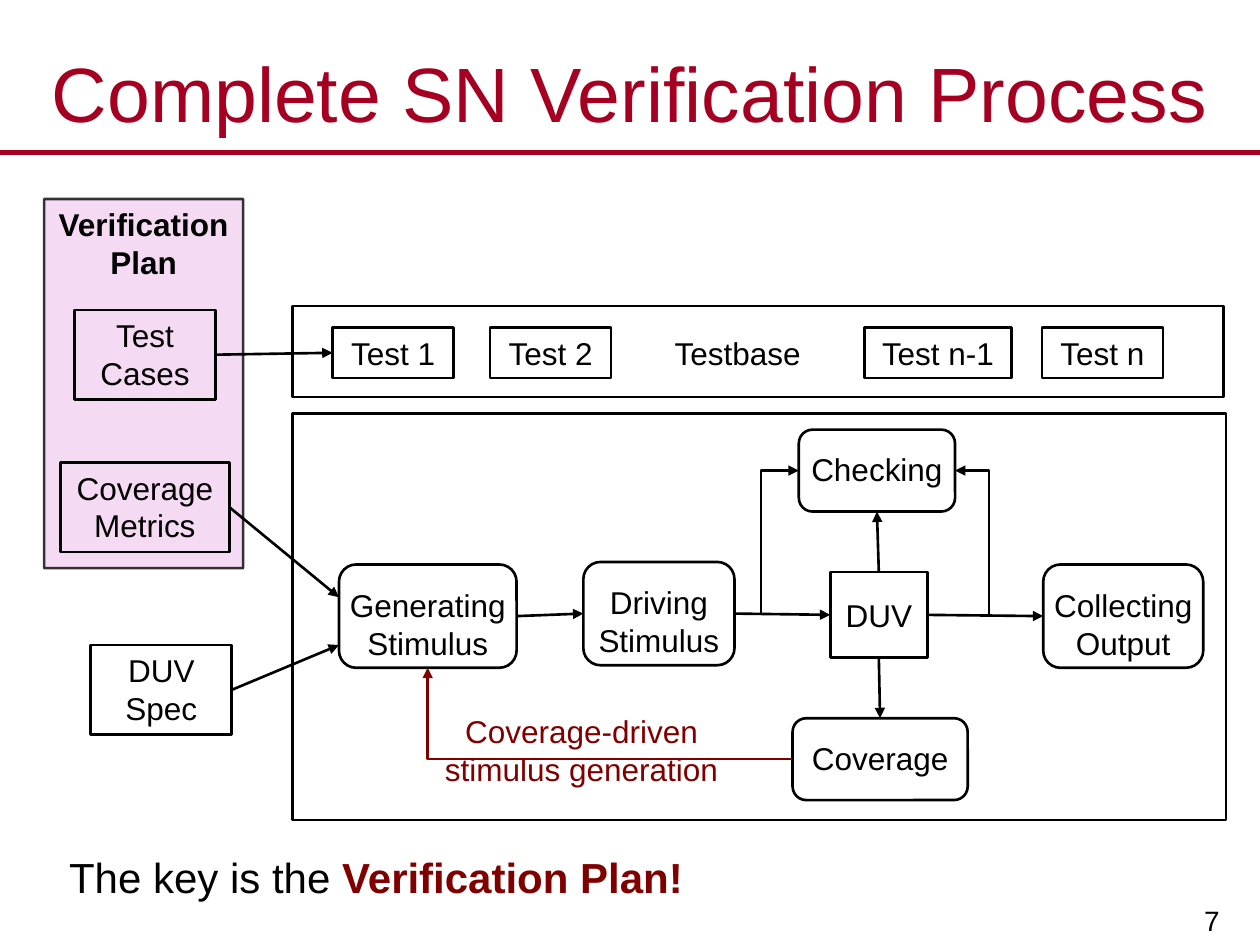
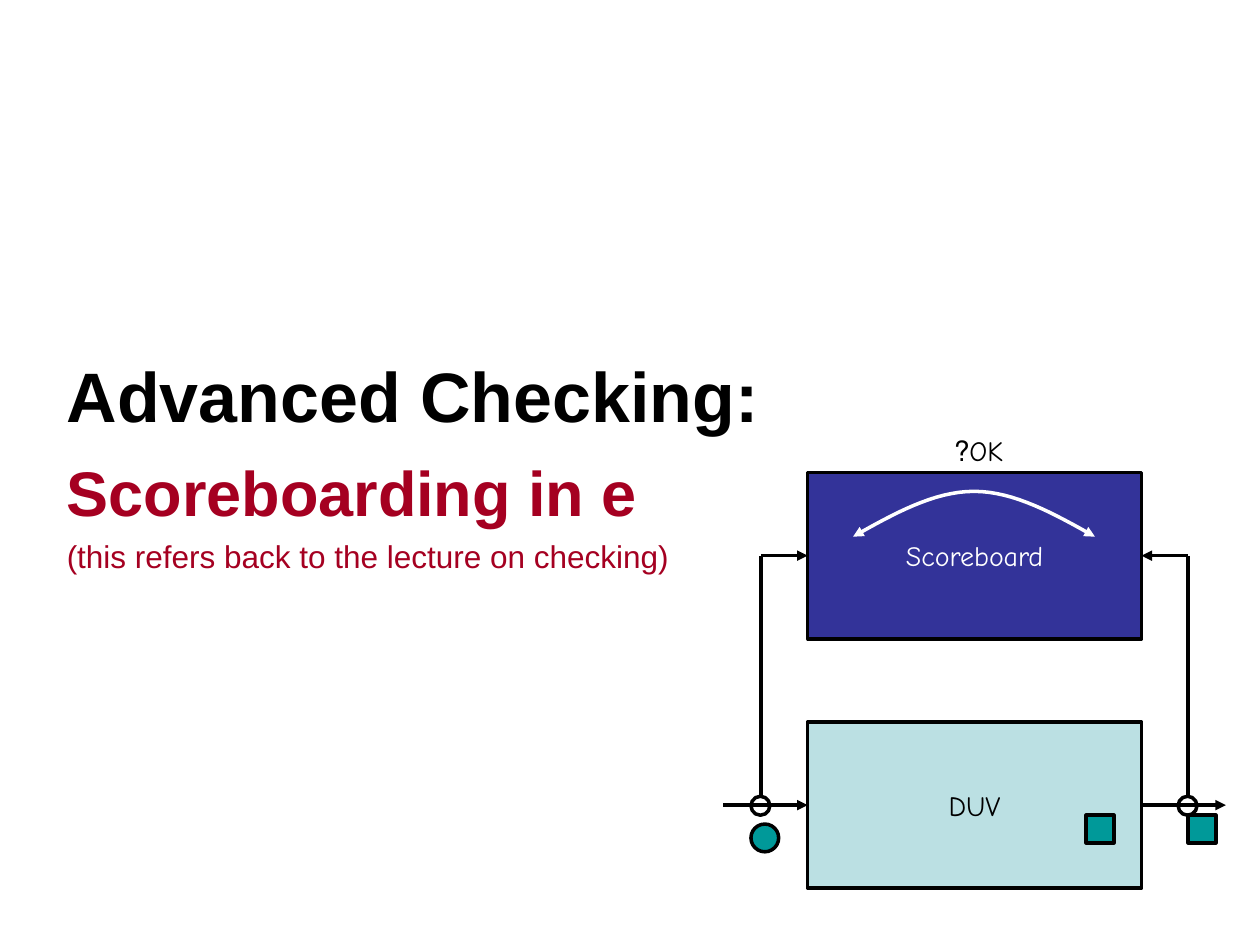
from pptx import Presentation
from pptx.dml.color import RGBColor
from pptx.enum.shapes import MSO_CONNECTOR, MSO_SHAPE
from pptx.enum.text import MSO_ANCHOR, MSO_AUTO_SIZE, PP_ALIGN
from pptx.oxml.ns import qn
from pptx.util import Inches, Pt
from lxml import etree

RECT, ROUND, OVAL = MSO_SHAPE.RECTANGLE, MSO_SHAPE.ROUNDED_RECTANGLE, MSO_SHAPE.OVAL
STRAIGHT, ELBOW = MSO_CONNECTOR.STRAIGHT, MSO_CONNECTOR.ELBOW
LEFT, CENTER, RIGHT = PP_ALIGN.LEFT, PP_ALIGN.CENTER, PP_ALIGN.RIGHT
TOP, MIDDLE, BOTTOM = MSO_ANCHOR.TOP, MSO_ANCHOR.MIDDLE, MSO_ANCHOR.BOTTOM
SITE_TOP, SITE_LEFT, SITE_BOTTOM, SITE_RIGHT = range(4)

BLACK, WHITE = "000000", "FFFFFF"
CRIMSON, MAROON = "A50021", "800000"
PINK, NAVY, AQUA, TEAL = "F1C7EE", "333399", "BBE0E3", "009999"
SANS, HAND = "Arial", "Comic Neue"


def rgb(value):
    """Turn a hex string into a colour."""
    return RGBColor.from_string(value)


def set_alpha(sp, parent, percent):
    """Make the solid colour under the given path partly transparent."""
    color = sp.element.spPr.find(f"{parent}{qn('a:solidFill')}/{qn('a:srgbClr')}")
    etree.SubElement(color, qn("a:alpha")).set("val", str(percent * 1000))


class Deck:
    """Hold the style and the current slide, and draw each kind of element."""

    def __init__(self, prs):
        """Start with the usual font and line width."""
        self.prs = prs
        self.s = None
        self.font, self.size, self.weight = SANS, 18, 1.5

    def new_slide(self, layout):
        """Add a slide and make it current."""
        self.s = self.prs.slides.add_slide(self.prs.slide_layouts[layout])

    def place(self, sp, at):
        """Move a shape to left, top, width and height in inches."""
        sp.left, sp.top, sp.width, sp.height = map(Inches, at)

    def run(self, p, text, color=BLACK, size=None, bold=False):
        """Add one formatted run to a paragraph."""
        r = p.add_run()
        r.text = text
        r.font.name, r.font.size, r.font.bold = self.font, Pt(size or self.size), bold
        r.font.color.rgb = rgb(color)

    def frame(self, sp, anchor=TOP, wrap=True, insets=(0.1, 0.05)):
        """Prepare a text frame and return it."""
        tf = sp.text_frame
        tf.auto_size = MSO_AUTO_SIZE.NONE
        tf.word_wrap, tf.vertical_anchor = wrap, anchor
        tf.margin_left = tf.margin_right = Inches(insets[0])
        tf.margin_top = tf.margin_bottom = Inches(insets[1])
        return tf

    def title(self, text):
        """Fill the title and draw the rule below it."""
        sp = self.s.shapes.title
        self.place(sp, (0, 0.3, 10, 0.86))
        p = self.frame(sp, MIDDLE).paragraphs[0]
        p.alignment = CENTER
        self.run(p, text, CRIMSON, 44)
        self.line((0, 1.21), (10, 1.21), CRIMSON, width=3, tail=False)

    def body(self, at, items):
        """Fill the body with unbulleted lines of text, colour, size, weight and space."""
        sp = self.s.placeholders[1]
        self.place(sp, at)
        tf = self.frame(sp)
        for i, (text, color, size, bold, space) in enumerate(items):
            p = tf.paragraphs[0] if i == 0 else tf.add_paragraph()
            pPr = p._p.get_or_add_pPr()
            pPr.set("marL", "0")
            pPr.set("indent", "0")
            etree.SubElement(pPr, qn("a:buNone"))
            p.space_before = Pt(space)
            self.run(p, text, color, size, bold)

    def text(self, at, runs, align=LEFT, anchor=TOP, wrap=True, insets=(0.1, 0.05)):
        """Add a text box of (text, colour, size, bold) runs and return its paragraph."""
        sp = self.s.shapes.add_textbox(*map(Inches, at))
        p = self.frame(sp, anchor, wrap, insets).paragraphs[0]
        p.alignment = align
        for run in runs:
            self.run(p, *run)
        return p

    def outline(self, sp, fill=None, color=BLACK):
        """Set the fill and line of a shape."""
        sp.shadow.inherit = False
        if fill:
            sp.fill.solid()
            sp.fill.fore_color.rgb = rgb(fill)
        else:
            sp.fill.background()
        sp.line.color.rgb = rgb(color)
        sp.line.width = Pt(self.weight)

    def box(self, at, text="", kind=RECT, fill=None, color=BLACK, bold=False,
            anchor=TOP, insets=(0.1, 0.05)):
        """Add an outlined shape with centred text."""
        sp = self.s.shapes.add_shape(kind, *map(Inches, at))
        self.outline(sp, fill)
        if text:
            p = self.frame(sp, anchor, insets=insets).paragraphs[0]
            p.alignment = CENTER
            self.run(p, text, color, bold=bold)
        return sp

    def stage(self, at, text):
        """Add a rounded process step."""
        return self.box(at, text, ROUND, insets=(0, 0.13))

    def arrowheads(self, sp, head, tail):
        """Put triangles on the chosen ends of a line."""
        ln = sp.element.spPr.find(qn("a:ln"))
        for tag, wanted in (("a:headEnd", head), ("a:tailEnd", tail)):
            if wanted:
                etree.SubElement(ln, qn(tag)).set("type", "triangle")

    def line(self, start, end, color=BLACK, width=None, head=False, tail=True, kind=STRAIGHT):
        """Join two ends, each a point or a shape with its connection site."""
        sp = self.s.shapes.add_connector(kind, 0, 0, 0, 0)
        if kind == ELBOW:
            sp.element.spPr.find(qn("a:prstGeom")).set("prst", "bentConnector2")
        free = [e if isinstance(e[0], (int, float)) else None for e in (start, end)]
        if free[0]:
            sp.begin_x, sp.begin_y = map(Inches, start)
        else:
            sp.begin_connect(*start)
        if free[1]:
            sp.end_x, sp.end_y = map(Inches, end)
        else:
            sp.end_connect(*end)
        sp.line.color.rgb = rgb(color)
        sp.line.width = Pt(width or self.weight)
        self.arrowheads(sp, head, tail)
        etree.SubElement(sp.element.spPr, qn("a:effectLst"))

    def curve(self, points, color):
        """Draw an open curve with an arrowhead on both ends."""
        (x, y), *rest = points
        fb = self.s.shapes.build_freeform(Inches(x), Inches(y))
        fb.add_line_segments([(Inches(a), Inches(b)) for a, b in rest], close=False)
        sp = fb.convert_to_shape()
        self.outline(sp, color=color)
        self.arrowheads(sp, True, True)


def process_slide(d):
    """Draw the verification process."""
    d.new_slide(5)
    d.title("Complete SN Verification Process")
    d.text((7.8, 6.93, 1.99, 0.57), [("7", BLACK, 16)], RIGHT, BOTTOM, insets=(0.11, 0.06))

    plan = d.box((0.35, 1.58, 1.58, 2.93), "Verification Plan", fill=PINK, bold=True)
    set_alpha(plan, "", 65)
    set_alpha(plan, qn("a:ln") + "/", 79)
    metrics = d.box((0.48, 3.67, 1.34, 0.71), "Coverage Metrics")
    cases = d.box((0.59, 2.46, 1.12, 0.71), "Test Cases")
    spec_box = d.box((0.72, 5.12, 1.12, 0.71), "DUV Spec")

    tests = [d.box((x, 2.6, w, 0.4), f"Test {name}") for x, w, name in
             ((2.64, 0.96, "1"), (3.89, 0.96, "2"), (6.86, 1.17, "n-1"), (8.27, 0.96, "n"))]
    d.text((5.18, 2.6, 1.35, 0.4), [("Testbase",)], CENTER)
    d.box((2.32, 2.43, 7.39, 0.72))
    d.box((2.32, 3.28, 7.41, 3.23))

    generating = d.stage((2.69, 4.48, 1.41, 0.82), "Generating Stimulus")
    driving = d.stage((4.63, 4.46, 1.2, 0.82), "Driving Stimulus")
    collecting = d.stage((8.28, 4.48, 1.27, 0.82), "Collecting Output")
    checking = d.stage((6.34, 3.41, 1.24, 0.65), "Checking")
    coverage = d.stage((6.29, 5.7, 1.39, 0.65), "Coverage")
    duv = d.box((6.59, 4.54, 0.77, 0.68), "DUV", anchor=MIDDLE)

    d.line((spec_box, SITE_RIGHT), (2.69, 5.12))
    d.line((metrics, SITE_RIGHT), (2.69, 4.74))
    for a, b in ((cases, tests[0]), (generating, driving), (driving, duv), (duv, collecting)):
        d.line((a, SITE_RIGHT), (b, SITE_LEFT))
    d.line((duv, SITE_TOP), (checking, SITE_BOTTOM))
    d.line((duv, SITE_BOTTOM), (coverage, SITE_TOP))
    for site, tap in ((SITE_LEFT, (6.04, 4.88)), (SITE_RIGHT, (7.85, 4.89))):
        d.line((checking, site), tap, head=True, tail=False, kind=ELBOW)
    d.line((coverage, SITE_LEFT), (generating, SITE_BOTTOM), MAROON, kind=ELBOW)

    d.text((3.39, 5.6, 2.45, 0.71), [("Coverage-driven stimulus generation", MAROON)], CENTER)
    d.text((0.45, 6.71, 5.75, 0.5), [("The key is the ", BLACK, 24),
                                     ("Verification Plan!", MAROON, 24, True)])


def scoreboard_slide(d):
    """Draw the scoreboard section opener."""
    d.new_slide(1)
    title = d.s.shapes.title.element
    title.getparent().remove(title)
    d.body((0.43, 2.75, 9, 2.32), [
        ("Advanced Checking:", BLACK, 40, True, 0),
        ("Scoreboarding in e", CRIMSON, 36, True, 9.5),
        ("(this refers back to the lecture on checking)", CRIMSON, 18, False, 4.5)])

    d.font, d.size, d.weight = HAND, 16, 2
    duv = d.box((6.41, 5.73, 2.65, 1.32), "DUV", fill=AQUA, anchor=MIDDLE)
    board = d.box((6.41, 3.75, 2.65, 1.32), "Scoreboard", fill=NAVY, color=WHITE, anchor=MIDDLE)
    d.line((5.74, 6.39), (duv, SITE_LEFT))
    d.line((duv, SITE_RIGHT), (9.73, 6.39))
    for x, site in ((6.04, SITE_LEFT), (9.43, SITE_RIGHT)):
        d.box((x - 0.08, 6.32, 0.15, 0.15), kind=OVAL)
        d.line((x, 6.32), (x, 4.41), tail=False)
        d.line((x, 4.41), (board, site))
    for x, y, kind in ((5.96, 6.54, OVAL), (8.62, 6.47, RECT), (9.43, 6.47, RECT)):
        d.box((x, y, 0.22, 0.22), kind=kind, fill=TEAL)

    steps = [i / 16 for i in range(-16, 17)]
    d.curve([(7.73 + 0.96 * u, 3.9 + u * u * (0.54 - 0.18 * abs(u))) for u in steps], WHITE)
    p = d.text((7.44, 3.4, 0.61, 0.35), [("OK?",)], RIGHT, wrap=False, insets=(0.09, 0.04))
    p._p.get_or_add_pPr().set("rtl", "1")


def main():
    """Build and save the slides."""
    prs = Presentation()
    prs.slide_width, prs.slide_height = Inches(10), Inches(7.5)
    d = Deck(prs)
    process_slide(d)
    scoreboard_slide(d)
    prs.save("out.pptx")


if __name__ == "__main__":
    main()
